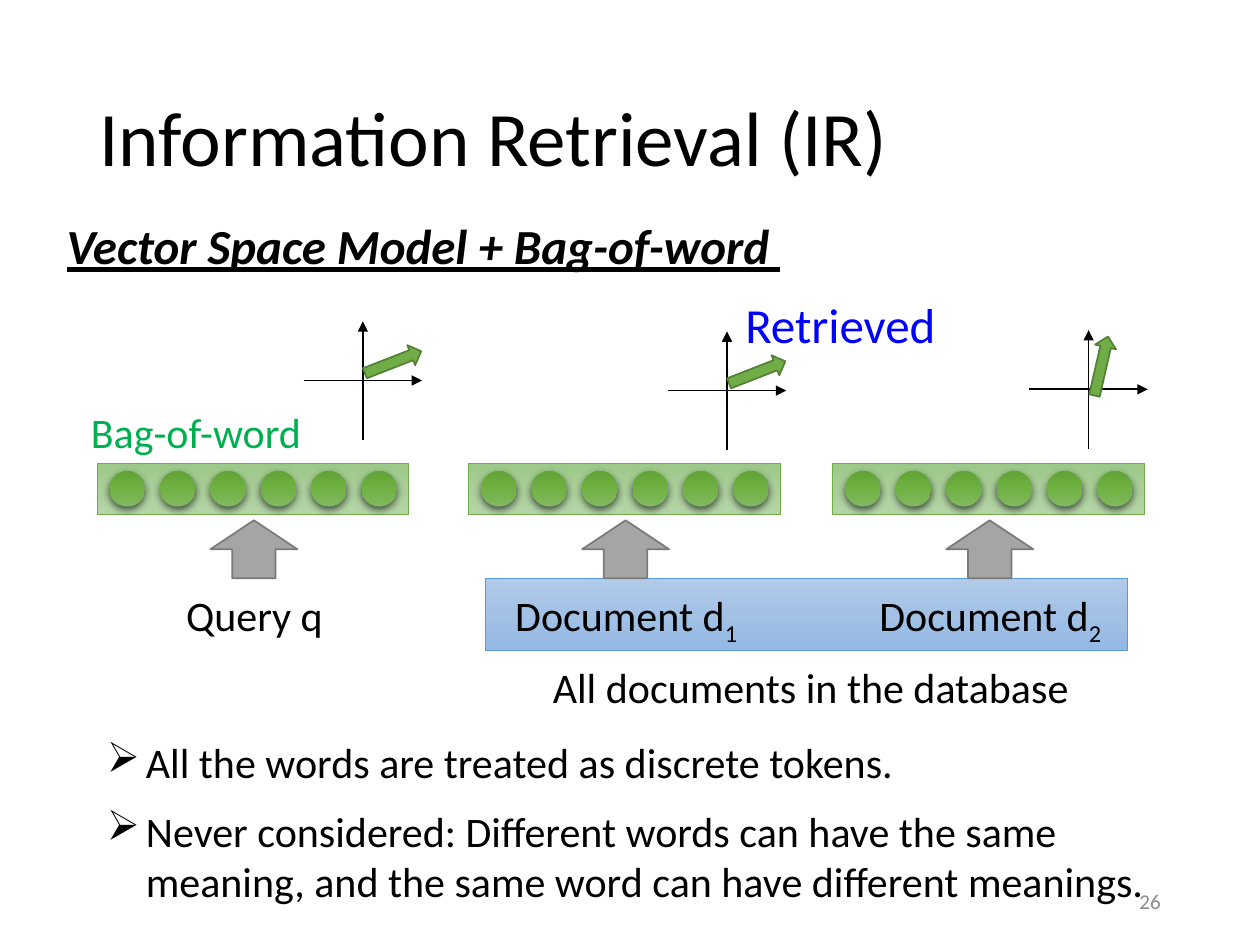
from copy import deepcopy
from pptx import Presentation, util as u
from pptx.dml.color import RGBColor
from pptx.enum import shapes, text
from pptx.oxml import parse_xml
from pptx.oxml.ns import nsdecls

THEME = {
    "font": "Calibri",
    "title": 44, "heading": 28, "body": 24, "number": 12,
    "black": "000000", "blue": "0000FF", "green": "00B050", "grey": "8C8C8C",
    "database": ("B1CBE9", "A3C1E5", "93B9E4"), "database_line": "5B9BD5",
    "bar": ("B5D5A7", "AACE9A", "9CC987"), "bar_line": "70AD47",
    "dot": ("81B861", "6FB242", "62A336"),
    "vector": "70AD47", "vector_line": "538035",
    "arrow": "A5A5A5", "arrow_line": "7A7A7A",
}

TITLE = "Information Retrieval (IR)"
COLUMNS = [
    {"left": 0.77, "label": "Query q", "sub": "", "origin": (2.88, 3.02),
     "vector": (0, -0.23), "turn": 338.7},
    {"left": 3.72, "label": "Document d", "sub": "1", "origin": (5.77, 3.1),
     "vector": (0, -0.23), "turn": 338.7},
    {"left": 6.61, "label": "Document d", "sub": "2", "origin": (8.64, 3.09),
     "vector": (-0.14, -0.27), "turn": 282.9},
]
CAPTIONS = [
    ("Bag-of-word", (0.51, 3.18, 2.09, 0.5), {"color": "green"}),
    ("All documents in the database", (3.77, 5.2, 5.33, 0.5), {}),
    ("Retrieved", (5.7, 2.29, 1.94, 0.57), {"color": "blue", "size": "heading"}),
    ("All the words are treated as discrete tokens.", (0.75, 5.8, 8.12, 0.5),
     {"bullet": "➢"}),
    ("Never considered: Different words can have the same meaning, "
     "and the same word can have different meanings.", (0.75, 6.34, 8.62, 0.91),
     {"bullet": "➢"}),
    ("Vector Space Model + Bag-of-word ", (0.43, 1.66, 6.67, 0.57),
     {"size": "heading", "align": "LEFT",
      "style": {"bold": True, "italic": True, "underline": True}}),
    ("26", (7.06, 6.95, 2.25, 0.4),
     {"size": "number", "color": "grey", "align": "RIGHT", "anchor": "MIDDLE"}),
]
DOTS, DOT_STEP, DOT_SIZE = 6, 0.4, 0.28
AXIS_HALF = 0.47


def inches(values):
    return [u.Inches(value) for value in values]


def rgb(value):
    return RGBColor.from_string(value)


def set_all(target, values):
    for name, value in values.items():
        setattr(target, name, value)


def format_span(span, size="body", color="black", style=None):
    set_all(span.font, {"name": THEME["font"], "size": u.Pt(THEME[size]), **(style or {})})
    span.font.color.rgb = rgb(THEME[color])


def add_bullet(para, mark):
    props = para._p.get_or_add_pPr()
    props.set("marL", str(u.Inches(0.31)))
    props.set("indent", str(-u.Inches(0.31)))
    props.append(parse_xml(f'<a:buChar {nsdecls("a")} char="{mark}"/>'))


def add_text(page, words, place, size="body", color="black", align="CENTER",
             anchor="TOP", style=None, bullet=None, sub=""):
    box = page.shapes.add_textbox(*inches(place))
    set_all(box.text_frame, {"word_wrap": True,
                             "vertical_anchor": getattr(text.MSO_ANCHOR, anchor)})
    para = box.text_frame.paragraphs[0]
    para.alignment = getattr(text.PP_ALIGN, "LEFT" if bullet else align)
    if bullet:
        add_bullet(para, bullet)
    for part in filter(None, (words, sub)):
        span = para.add_run()
        span.text = part
        format_span(span, size, color, style)
    if sub:
        span.font._element.set("baseline", "-25000")


def add_gradient(shape, colors):
    shape.fill.gradient()
    shape.fill.gradient_angle = 270
    first = shape.fill.gradient_stops[0]._gs
    first.addnext(deepcopy(first))
    for stop, place, color in zip(shape.fill.gradient_stops, (0, 0.5, 1), colors):
        stop.position = place
        stop.color.rgb = rgb(color)


def add_shape(parent, kind, place, fill, line=None, width=1, turn=0):
    shape = parent.shapes.add_shape(getattr(shapes.MSO_SHAPE, kind), *inches(place))
    shape.shadow.inherit = False
    shape.rotation = turn
    if isinstance(THEME[fill], tuple):
        add_gradient(shape, THEME[fill])
    else:
        shape.fill.solid()
        shape.fill.fore_color.rgb = rgb(THEME[fill])
    if line:
        shape.line.color.rgb = rgb(THEME[line])
        shape.line.width = u.Pt(width)
    else:
        shape.line.fill.background()
    return shape


def add_dot_shadow(dot):
    effects = dot._element.spPr.find("{*}effectLst")
    effects.append(parse_xml(
        f'<a:outerShdw {nsdecls("a")} blurRad="{u.Pt(4.5)}" dist="{u.Pt(1.5)}" '
        'dir="5400000" algn="ctr" rotWithShape="0"><a:srgbClr val="000000">'
        '<a:alpha val="63000"/></a:srgbClr></a:outerShdw>'))


def add_axis(group, *ends):
    axis = group.shapes.add_connector(shapes.MSO_CONNECTOR.STRAIGHT, *inches(ends))
    axis.line.color.rgb = rgb(THEME["black"])
    axis.line.width = u.Pt(1)
    axis.line._get_or_add_ln().append(
        parse_xml(f'<a:tailEnd {nsdecls("a")} type="triangle"/>'))
    axis._element.spPr.append(parse_xml(f'<a:effectLst {nsdecls("a")}/>'))


def add_column(page, left, label, sub, origin, vector, turn):
    add_text(page, label, (left, 4.63, 2.5, 0.5), sub=sub)
    bag = page.shapes.add_group_shape()
    add_shape(bag, "RECTANGLE", (left, 3.68, 2.47, 0.4), "bar", "bar_line", 0.5, 180)
    for index in reversed(range(DOTS)):
        place = (left + 0.1 + index * DOT_STEP, 3.74, DOT_SIZE, DOT_SIZE)
        add_dot_shadow(add_shape(bag, "OVAL", place, "dot", turn=180))
    x, y = origin
    axes = page.shapes.add_group_shape()
    add_axis(axes, x - AXIS_HALF, y, x + AXIS_HALF, y)
    add_axis(axes, x, y + AXIS_HALF, x, y - AXIS_HALF)
    add_shape(page, "RIGHT_ARROW", (x + vector[0], y + vector[1], 0.48, 0.17),
              "vector", "vector_line", turn=turn)
    arrow = add_shape(page, "DOWN_ARROW", (left + 0.9, 4.13, 0.69, 0.46),
                      "arrow", "arrow_line")
    arrow._element.spPr.get_or_add_xfrm().set("flipV", "1")


def add_title(page):
    title = page.shapes.title
    set_all(title, dict(zip(("left", "top", "width", "height"),
                            inches((0.69, 0.4, 8.62, 1.45)))))
    title.text_frame.text = TITLE
    title.text_frame.vertical_anchor = text.MSO_ANCHOR.MIDDLE
    para = title.text_frame.paragraphs[0]
    set_all(para, {"alignment": text.PP_ALIGN.LEFT, "line_spacing": 0.9})
    format_span(para.runs[0], "title")


def main():
    deck = Presentation()
    deck.slide_width, deck.slide_height = inches((10, 7.5))
    page = deck.slides.add_slide(deck.slide_layouts[5])
    add_title(page)
    add_shape(page, "RECTANGLE", (3.85, 4.59, 5.1, 0.57), "database", "database_line", 0.5)
    for column in COLUMNS:
        add_column(page, **column)
    for words, place, look in CAPTIONS:
        add_text(page, words, place, **look)
    deck.save("out.pptx")


if __name__ == "__main__":
    main()
